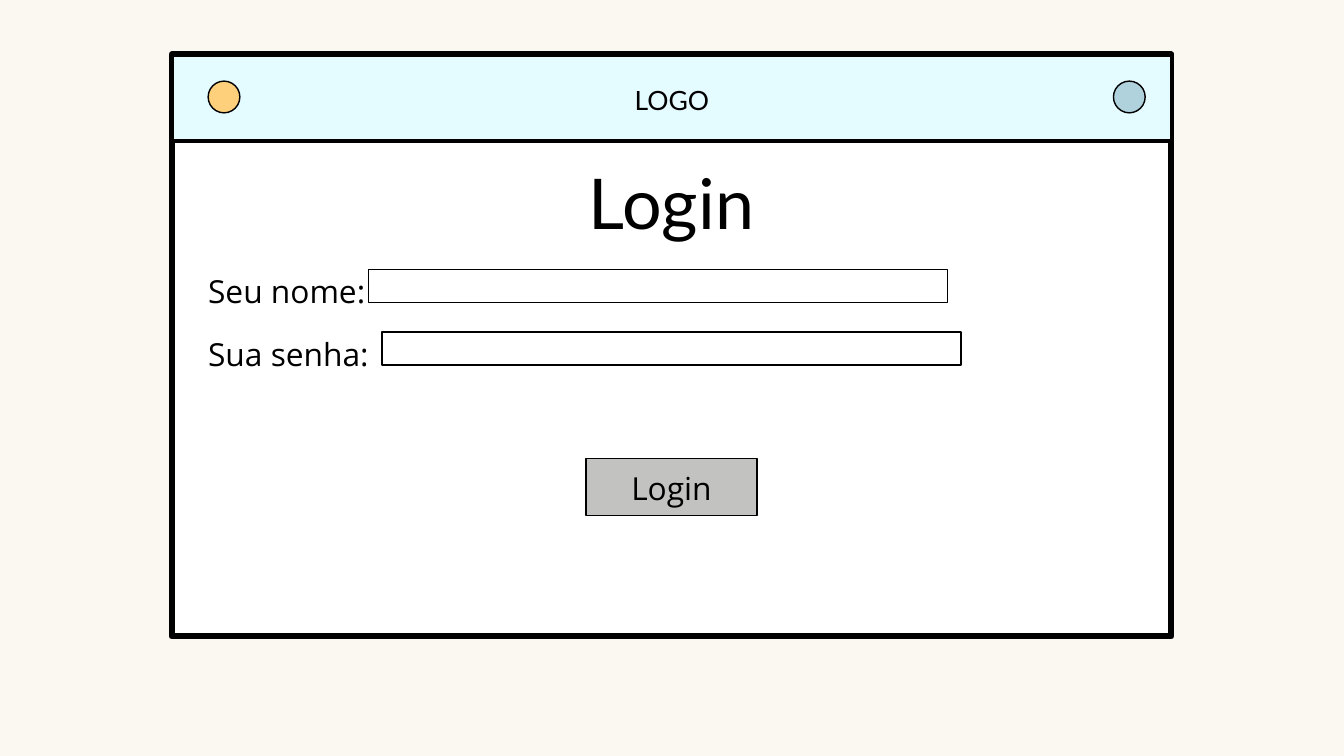
from pptx import Presentation
from pptx.dml.color import RGBColor
from pptx.enum.shapes import MSO_SHAPE as Shape
from pptx.enum.text import PP_ALIGN as Align
from pptx.util import Pt

COLORS = {
    "page": "FBF7F1", "window": "FFFFFF", "header": "E4FBFF", "ink": "000000",
    "menu": "FFD07B", "profile": "B0D2DD", "button": "C2C3C1",
}


def color(name):
    return RGBColor.from_string(COLORS[name])


def add_box(page, left, top, width, height, fill=None, line=1.5, kind=Shape.RECTANGLE):
    """Add an outlined shape; without a fill name it stays transparent."""
    box = page.shapes.add_shape(kind, Pt(left), Pt(top), Pt(width), Pt(height))
    box.shadow.inherit = False
    if fill:
        box.fill.solid()
        box.fill.fore_color.rgb = color(fill)
    else:
        box.fill.background()
    box.line.color.rgb = color("ink")
    box.line.width = Pt(line)


def add_text(page, left, top, width, height, *lines, size=34, font="Open Sans",
             spacing=47.6, align=Align.CENTER):
    box = page.shapes.add_textbox(Pt(left), Pt(top), Pt(width), Pt(height))
    frame = box.text_frame
    frame.word_wrap = True
    frame.margin_left = frame.margin_top = frame.margin_right = frame.margin_bottom = 0
    for index, line in enumerate(lines):
        para = frame.paragraphs[0] if index == 0 else frame.add_paragraph()
        para.alignment = align
        para.line_spacing = Pt(spacing)
        span = para.add_run()
        span.text = line
        span.font.size = Pt(size)
        span.font.name = font
        span.font.color.rgb = color("ink")


def add_header(page, left, top, width, height):
    add_box(page, left, top, width, height, "header", line=4.5)
    dot = 34
    for name, offset in (("menu", 38.5), ("profile", width - 62.5)):
        add_box(page, left + offset, top + 28.6, dot, dot, name, kind=Shape.OVAL)
    logo = 89.3
    add_text(page, left + (width - logo) / 2, top + 26, logo, 37.4, "LOGO",
             size=28.4, font="Lato", spacing=39.7)


def add_form(page, left, top, width, height):
    """Add the labels, their input fields and the centred button."""
    add_text(page, left, top, 342.7, 128.2, "Seu nome:", "Sua senha:",
             spacing=68, align=Align.LEFT)
    for row, indent in enumerate((172, 186.5)):
        add_box(page, left + indent, top + 25 + 67.2 * row, 620.4, 35.5)
    button_width, button_height = 183, 61.2
    button_left = left + (width - button_width) / 2
    button_top = top + height - button_height
    add_box(page, button_left, button_top, button_width, button_height, "button")
    add_text(page, button_left, button_top + 5, button_width, 45.4, "Login")


def add_login_window(page, left, top, width, height):
    add_box(page, left, top, width, height, "window", line=6.75)
    add_header(page, left + 0.5, top, width, 93)
    add_text(page, left + 87, top + 97.2, 897, 100.8, "Login",
             size=75, font="Lato", spacing=104.9)
    margin = 39
    add_form(page, left + margin, top + 205.2, width - 2 * margin, 288.7)


def main():
    deck = Presentation()
    deck.slide_width, deck.slide_height = Pt(1440), Pt(810)
    page = deck.slides.add_slide(deck.slide_layouts[6])
    page.background.fill.solid()
    page.background.fill.fore_color.rgb = color("page")
    add_login_window(page, 184, 58.3, 1071, 623.5)
    deck.save("out.pptx")


if __name__ == "__main__":
    main()
